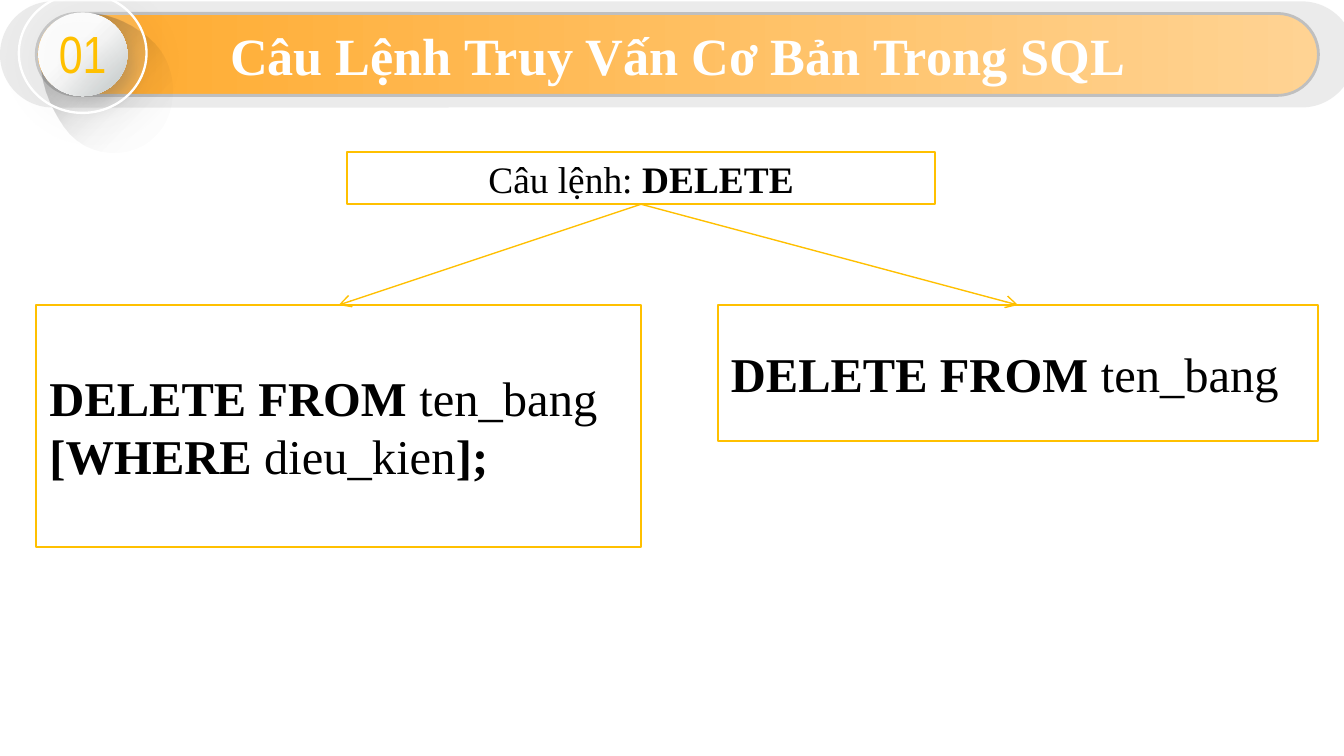
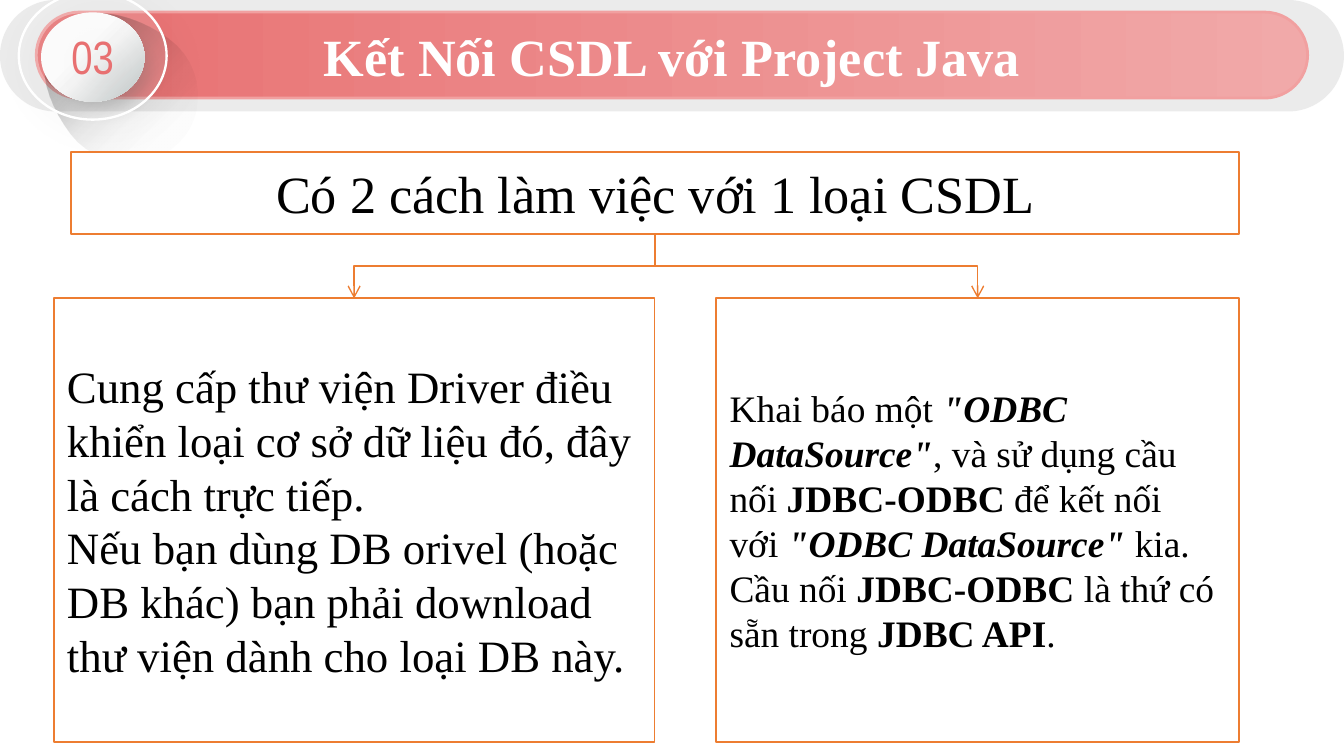
import math
import pptx
import pptx.util
import pptx.dml.color
import pptx.enum.shapes
import pptx.enum.text
import pptx.oxml
import pptx.oxml.ns

Inches = pptx.util.Inches
RGB = pptx.dml.color.RGBColor.from_string
Kind = pptx.enum.shapes.MSO_SHAPE
Link = pptx.enum.shapes.MSO_CONNECTOR
Align = pptx.enum.text.PP_ALIGN
NS = pptx.oxml.ns.nsdecls("a")

theme = {
    "serif": "Times New Roman", "narrow": "Arial Narrow",
    "white": "FFFFFF", "black": "000000", "pale": "D9D9D9", "dusk": "494949",
    "title": 28, "text": 20, "lead": 24, "code": 26,
    "edge": 1, "rim": 1.5, "ring": 1.25, "arrow": 0.75,
    "inner": [(0, "FFFFFF", 100), (43, "F7F7F7", 100), (100, "B8C0C0", 100)],
    "disc": [(11, "FFFFFF", 100), (39, "FFFFFF", 100), (53, "F7F7F7", 100), (100, "B8C0C0", 100)],
    "shade": [(at, "000000", alpha) for at, alpha in
              [(0, 40), (34, 20), (51, 8), (65, 3), (78, 1), (100, 0)]],
}

curve = [
    (0.35, 1.11),
    (0.17, 0.83), (0.1, 0.5), (0.28, 0.29),
    (0.46, 0.09), (0.77, 0.17), (1.01, 0.37),
    (1.26, 0.58), (1.26, 0.98), (1.08, 1.18),
    (0.9, 1.39), (0.53, 1.39), (0.35, 1.11),
]

slides = [
    {
        "title": "Câu Lệnh Truy Vấn Cơ Bản Trong SQL",
        "num": "01", "numsize": 28, "ink": "FFC000", "edge": "FFC000", "rim": "BFBFBF",
        "band": [(0, "FFAA2D", 100), (100, "FFD393", 100)],
        "back": (0, 0.01, 10.08, 0.79), "bar": (0.27, 0.1, 9.54, 0.61),
        "ring": (0.14, -0.05, 0.95, 0.89),
        "link": Link.STRAIGHT,
        "boxes": [
            ((2.58, 1.13, 4.38, 0.39), "text", Align.CENTER,
             [[("Câu lệnh: ", ""), ("DELETE", "b")]]),
            ((0.27, 2.27, 4.5, 1.8), "code", Align.LEFT,
             [[("DELETE FROM ", "b"), ("ten_bang", "")],
              [("[WHERE ", "b"), ("dieu_kien", ""), ("];", "b")]]),
            ((5.34, 2.27, 4.47, 1.01), "code", Align.LEFT,
             [[("DELETE FROM ", "b"), ("ten_bang", "")]]),
        ],
    },
    {
        "title": "Kết Nối CSDL với Project Java",
        "num": "03", "numsize": 25, "ink": "E87071", "edge": "ED7D31", "rim": "F1A0A0",
        "band": [(0, "E87071", 100), (100, "F1A9A9", 100)],
        "back": (0, 0, 10, 0.83), "bar": (0.27, 0.09, 9.46, 0.64),
        "ring": (0.14, -0.06, 1.1, 0.95),
        "link": Link.ELBOW,
        "boxes": [
            ((0.53, 1.13, 8.69, 0.61), "title", Align.CENTER,
             [[("Có 2 cách làm việc với 1 loại CSDL", "")]]),
            ((0.4, 2.22, 4.47, 3.3), "lead", Align.LEFT,
             [[("Cung cấp thư viện Driver điều khiển loại cơ sở dữ liệu đó, "
                "đây là cách trực tiếp.", "")],
              [("Nếu bạn dùng DB orivel (hoặc DB khác) bạn phải download "
                "thư viện dành cho loại DB này.", "")]]),
            ((5.33, 2.22, 3.89, 3.3), "text", Align.LEFT,
             [[("Khai báo một~", ""), ('"ODBC DataSource"', "bi"),
               (", và sử dụng cầu nối~", ""), ("JDBC-ODBC", "b"),
               ("~để kết nối với~", ""), ('"ODBC DataSource"', "bi"), ("~kia.", "")],
              [("Cầu nối~", ""), ("JDBC-ODBC", "b"),
               ("~là thứ có sẵn trong~", ""), ("JDBC API", "b"), (".", "")]]),
        ],
    },
]


def write(shape, text, size=20, font=theme["serif"], ink=theme["black"], align=Align.CENTER):
    frame = shape.text_frame
    frame.word_wrap = True
    frame.auto_size = pptx.enum.text.MSO_AUTO_SIZE.NONE
    frame.vertical_anchor = pptx.enum.text.MSO_ANCHOR.MIDDLE
    for n, parts in enumerate(text):
        para = frame.paragraphs[0] if n == 0 else frame.add_paragraph()
        para.alignment = align
        for words, style in parts:
            run = para.add_run()
            run.text = words.replace("~", chr(160))
            run.font.size = pptx.util.Pt(size)
            run.font.name = font
            run.font.color.rgb = RGB(ink)
            run.font.bold = "b" in style
            run.font.italic = "i" in style


def paint(shape, stops, angle=0, line=None, width=1, shadow=None):
    shape.shadow.inherit = False
    tints = [f'<a:srgbClr val="{tint}"><a:alpha val="{alpha * 1000}"/></a:srgbClr>'
             for at, tint, alpha in stops]
    if len(stops) == 1:
        xml = f"<a:solidFill {NS}>{tints[0]}</a:solidFill>"
    else:
        marks = "".join(f'<a:gs pos="{stop[0] * 1000}">{tint}</a:gs>'
                        for stop, tint in zip(stops, tints))
        xml = (f'<a:gradFill {NS} rotWithShape="1"><a:gsLst>{marks}</a:gsLst>'
               f'<a:lin ang="{angle * 60000}" scaled="0"/></a:gradFill>')
    shape.fill.background()
    props = shape.element.spPr
    old = props.find(pptx.oxml.ns.qn("a:noFill"))
    props.replace(old, pptx.oxml.parse_xml(xml))
    if line:
        shape.line.color.rgb = RGB(line)
        shape.line.width = pptx.util.Pt(width)
    else:
        shape.line.fill.background()
    if shadow:
        tint, alpha, blur, dist = shadow
        props.find(pptx.oxml.ns.qn("a:effectLst")).append(pptx.oxml.parse_xml(
            f'<a:outerShdw {NS} blurRad="{blur * 12700}" dist="{dist * 12700}" '
            f'dir="2700000" algn="tl" rotWithShape="0"><a:srgbClr val="{tint}">'
            f'<a:alpha val="{alpha * 1000}"/></a:srgbClr></a:outerShdw>'))


deck = pptx.Presentation()
deck.slide_width = Inches(10)
deck.slide_height = deck.slide_width * 9 // 16

for data in slides:
    slide = deck.slides.add_slide(deck.slide_layouts[5])
    shapes = slide.shapes

    back = shapes.add_shape(Kind.ROUNDED_RECTANGLE, *map(Inches, data["back"]))
    back.adjustments[0] = 0.5
    paint(back, [(0, theme["pale"], 50)])
    bar = shapes.add_shape(Kind.ROUNDED_RECTANGLE, *map(Inches, data["bar"]))
    bar.adjustments[0] = 0.5
    paint(bar, data["band"], line=data["rim"], width=theme["rim"])

    title = shapes.title
    title.left, title.top, title.width, title.height = map(Inches, data["bar"])
    write(title, [[(data["title"], "b")]], size=theme["title"], ink=theme["white"])
    bar.element.addnext(title.element)

    left, top, width, height = data["ring"]
    dots = []
    for n in range(0, len(curve) - 1, 3):
        for step in range(12):
            t = step / 12
            ws = [math.comb(3, k) * t ** k * (1 - t) ** (3 - k) for k in range(4)]
            x, y = [sum(w * dot[axis] for w, dot in zip(ws, curve[n:n + 4])) for axis in (0, 1)]
            dots.append((Inches(left + x * width), Inches(top + y * height)))
    form = shapes.build_freeform(*dots[0])
    form.add_line_segments(dots[1:], close=True)
    paint(form.convert_to_shape(), theme["shade"], angle=45)

    for x, y, size, stops, shadow in [
        (0.23, 0.25, 0.58, theme["inner"], (theme["dusk"], 30, 11, 7)),
        (0.15, 0.16, 0.7, theme["disc"], None),
    ]:
        disc = shapes.add_shape(Kind.OVAL, Inches(left + x * width), Inches(top + y * height),
                                Inches(size * width), Inches(size * height))
        paint(disc, stops, angle=45, shadow=shadow)
    ring = shapes.add_shape(Kind.OVAL, *map(Inches, data["ring"]))
    paint(ring, [(0, theme["white"], 14)], line=theme["white"], width=theme["ring"],
          shadow=(theme["black"], 11, 17, 7))
    write(ring, [[(data["num"], "")]], size=data["numsize"], font=theme["narrow"], ink=data["ink"])

    boxes = []
    for place, size, align, text in data["boxes"]:
        box = shapes.add_shape(Kind.RECTANGLE, *map(Inches, place))
        paint(box, [(0, theme["white"], 100)], line=data["edge"], width=theme["edge"])
        write(box, text, size=theme[size], align=align)
        boxes.append(box)

    head = boxes[0]
    for box in boxes[1:]:
        x1, y1 = head.left + head.width // 2, head.top + head.height
        x2, y2 = box.left + box.width // 2, box.top
        link = shapes.add_connector(data["link"], x1, y1, x2, y2)
        link.begin_connect(head, 2)
        link.end_connect(box, 0)
        link.line.color.rgb = RGB(data["edge"])
        link.line.width = pptx.util.Pt(theme["arrow"])
        props = link.element.spPr
        props.find(pptx.oxml.ns.qn("a:ln")).append(
            pptx.oxml.parse_xml(f'<a:tailEnd {NS} type="arrow"/>'))
        props.append(pptx.oxml.parse_xml(f"<a:effectLst {NS}/>"))
        if data["link"] == Link.ELBOW:
            link.width, link.height = y2 - y1, abs(x2 - x1)
            link.left = (x1 + x2 - link.width) // 2
            link.top = (y1 + y2 - link.height) // 2
            frame = props.find(pptx.oxml.ns.qn("a:xfrm"))
            frame.set("rot", "5400000" if x2 < x1 else "16200000")
            frame.set("flipH", "0" if x2 < x1 else "1")

deck.save("out.pptx")
